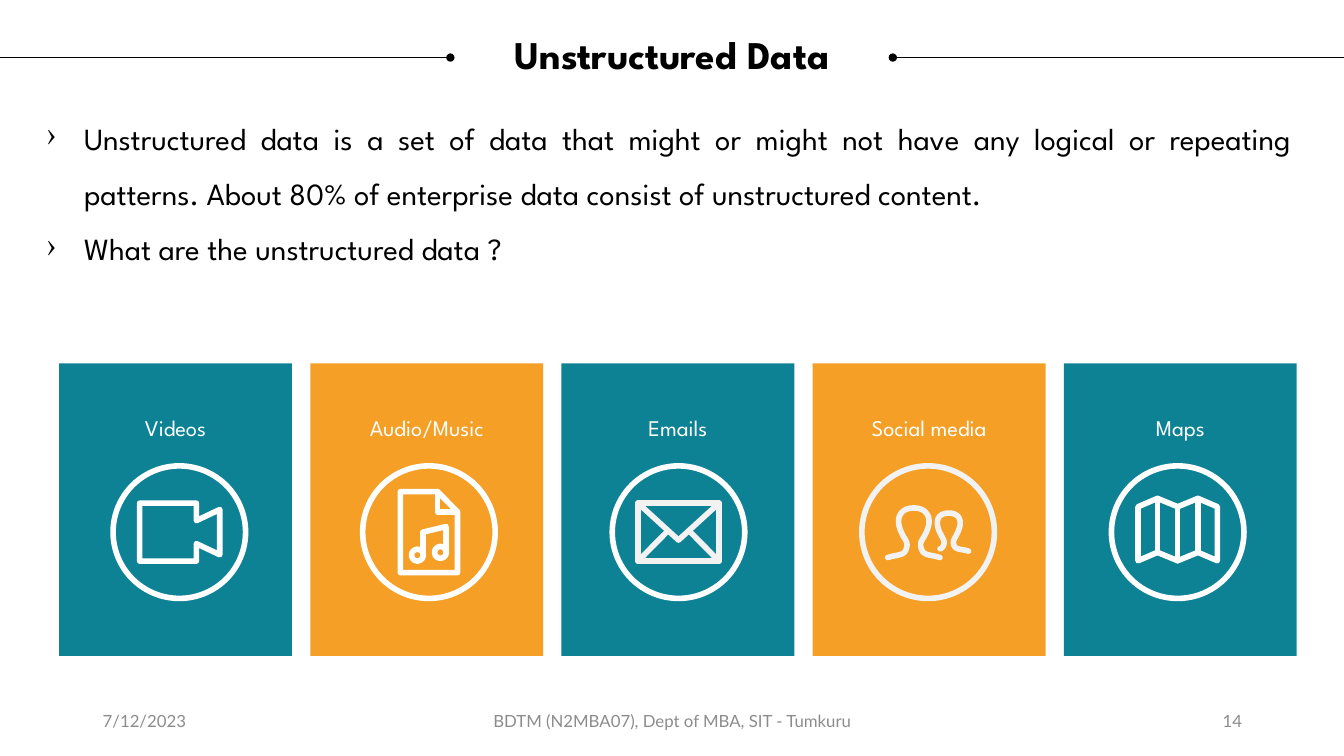
from dataclasses import dataclass

from lxml import etree
from pptx import Presentation
from pptx.dml.color import RGBColor
from pptx.enum.shapes import MSO_CONNECTOR, MSO_SHAPE
from pptx.enum.text import MSO_ANCHOR, MSO_AUTO_SIZE, PP_ALIGN
from pptx.oxml.ns import qn
from pptx.util import Cm, Pt

LEFT, CENTER, RIGHT, JUSTIFY = PP_ALIGN.LEFT, PP_ALIGN.CENTER, PP_ALIGN.RIGHT, PP_ALIGN.JUSTIFY
TOP, MIDDLE = MSO_ANCHOR.TOP, MSO_ANCHOR.MIDDLE
GROW = MSO_AUTO_SIZE.SHAPE_TO_FIT_TEXT
RECTANGLE, OVAL, STRAIGHT = MSO_SHAPE.RECTANGLE, MSO_SHAPE.OVAL, MSO_CONNECTOR.STRAIGHT

COLORS = {
    "black": "000000",
    "white": "FFFFFF",
    "pale": "F2F2F2",
    "teal": "0D8295",
    "orange": "F59F26",
    "grey": "8C8C8C",
}
HEADING_FONT, FOOTER_FONT = "League Spartan", "Lato"
SLIDE_WIDTH, SLIDE_HEIGHT = 33.87, 19.05
CARD_LEFT, CARD_TOP, CARD_WIDTH, CARD_HEIGHT, CARD_PITCH = 1.49, 9.16, 5.87, 7.37, 6.33
LABEL_TOP, LABEL_WIDTH, LABEL_HEIGHT = 10.44, 3.94, 0.69
ICON_X, ICON_Y, ICON_PITCH, ICON_RADIUS = 4.52, 13.41, 6.29, 1.67
ICON_LINE = 4
RULE_Y = 1.45

Point = tuple[float, float]


@dataclass
class Stroke:
    points: list[Point]
    closed: bool = False


@dataclass
class Ring:
    x: float
    y: float
    radius: float


@dataclass
class Card:
    label: str
    fill: str
    ring_color: str
    icon_color: str
    strokes: list[Stroke]
    rings: list[Ring]


@dataclass
class Footer:
    text: str
    left: float
    width: float
    alignment: PP_ALIGN


def sample_curves(points: list[Point], steps: int = 10) -> list[Point]:
    sampled = [points[0]]
    for first in range(0, len(points) - 1, 3):
        a, b, c, d = points[first:first + 4]
        for step in range(1, steps + 1):
            t = step / steps
            u = 1 - t
            weights = (u ** 3, 3 * u * u * t, 3 * u * t * t, t ** 3)
            sampled.append(tuple(
                sum(w * p[axis] for w, p in zip(weights, (a, b, c, d))) for axis in (0, 1)
            ))
    return sampled


def person(axis: float, right: list[Point], left: list[Point]) -> Stroke:
    left_side = [(axis - x, y) for x, y in sample_curves(left)]
    right_side = [(axis + x, y) for x, y in sample_curves(right)]
    return Stroke(left_side[::-1] + right_side[1:])


FRONT_HALF = [(0, -0.61), (0.34, -0.61), (0.46, -0.35), (0.34, -0.06), (0.26, 0.18),
              (0.12, 0.22), (0.19, 0.42), (0.24, 0.6), (0.41, 0.56), (0.66, 0.64)]
BACK_HALF = [(0, -0.48), (0.28, -0.48), (0.34, -0.28), (0.25, -0.05), (0.18, 0.14),
             (0.08, 0.2), (0.13, 0.33), (0.18, 0.46), (0.33, 0.42), (0.5, 0.48)]
BACK_LEFT = BACK_HALF[:7] + [(0.15, 0.38), (0.18, 0.41), (0.22, 0.42)]

VIDEO = [Stroke([(-1, -0.73), (0.43, -0.73), (0.43, -0.29), (1.02, -0.57),
                 (1.02, 0.57), (0.43, 0.29), (0.43, 0.73), (-1, 0.73)], True)]
MUSIC = [
    Stroke([(-0.72, -1.02), (0.22, -1.02), (0.72, -0.51), (0.72, 1.02), (-0.72, 1.02)], True),
    Stroke([(0.22, -1.02), (0.22, -0.51), (0.72, -0.51)]),
    Stroke([(-0.15, 0.58), (-0.15, 0), (0.43, -0.14), (0.43, 0.51)]),
]
NOTE_HEADS = [Ring(-0.29, 0.58, 0.15), Ring(0.29, 0.51, 0.15)]
ENVELOPE = [
    Stroke([(-1.02, -0.73), (1.02, -0.73), (1.02, 0.73), (-1.02, 0.73)], True),
    Stroke([(-1.02, -0.73), (0, 0.2), (1.02, -0.73)]),
    Stroke([(-1.02, 0.73), (-0.3, 0)]),
    Stroke([(1.02, 0.73), (0.3, 0)]),
]
PEOPLE = [person(-0.36, FRONT_HALF, FRONT_HALF), person(0.52, BACK_HALF, BACK_LEFT)]
MAP_TOP = [(-1, -0.64), (-0.51, -0.85), (0, -0.64), (0.51, -0.85), (1, -0.64)]
MAP_BOTTOM = [(x, y + 1.36) for x, y in MAP_TOP]
MAP = [Stroke(MAP_TOP + MAP_BOTTOM[::-1], True)]
MAP += [Stroke([MAP_TOP[fold], MAP_BOTTOM[fold]]) for fold in (1, 2, 3)]

CARDS = [
    Card("Videos", "teal", "white", "white", VIDEO, []),
    Card("Audio/Music", "orange", "white", "white", MUSIC, NOTE_HEADS),
    Card("Emails", "teal", "white", "pale", ENVELOPE, []),
    Card("Social media", "orange", "pale", "pale", PEOPLE, []),
    Card("Maps", "teal", "white", "white", MAP, []),
]
BULLETS = [
    "Unstructured data is a set of data that might or might not have any logical or repeating "
    "patterns. About 80% of enterprise data consist of unstructured content.",
    "What are the unstructured data ?",
]
FOOTERS = [
    Footer("7/12/2023", 2.34, 7.62, LEFT),
    Footer("BDTM (N2MBA07), Dept of MBA, SIT - Tumkuru", 11.23, 11.43, CENTER),
    Footer("14", 23.93, 7.62, RIGHT),
]


def color(name: str) -> RGBColor:
    return RGBColor.from_string(COLORS[name])


def place(shape, left: float, top: float, width: float, height: float) -> None:
    shape.left, shape.top, shape.width, shape.height = Cm(left), Cm(top), Cm(width), Cm(height)


def format_text(shape, font_name: str, size: float, color_name: str, alignment: PP_ALIGN,
                spacing: float = 1.0, bold: bool = False) -> None:
    for paragraph in shape.text_frame.paragraphs:
        paragraph.alignment = alignment
        paragraph.line_spacing = spacing
        for run in paragraph.runs:
            run.font.name, run.font.size, run.font.bold = font_name, Pt(size), bold
            run.font.color.rgb = color(color_name)


def clear_insets(text_frame) -> None:
    text_frame.margin_left = text_frame.margin_right = 0
    text_frame.margin_top = text_frame.margin_bottom = 0
    text_frame.vertical_anchor = TOP
    text_frame.word_wrap = True
    text_frame.auto_size = GROW


def add_text(slide, text: str, left: float, top: float, width: float, height: float):
    shape = slide.shapes.add_textbox(Cm(left), Cm(top), Cm(width), Cm(height))
    shape.text_frame.text = text
    shape.text_frame.word_wrap = True
    return shape


def outline(shape, color_name: str) -> None:
    shape.shadow.inherit = False
    shape.fill.background()
    shape.line.color.rgb = color(color_name)
    shape.line.width = Pt(ICON_LINE)


def add_ring(slide, x: float, y: float, radius: float, color_name: str) -> None:
    shape = slide.shapes.add_shape(OVAL, Cm(x - radius), Cm(y - radius), Cm(2 * radius), Cm(2 * radius))
    outline(shape, color_name)


def add_stroke(slide, stroke: Stroke, x: float, y: float, color_name: str) -> None:
    points = [(Cm(x + dx), Cm(y + dy)) for dx, dy in stroke.points]
    builder = slide.shapes.build_freeform(*points[0])
    builder.add_line_segments(points[1:], close=stroke.closed)
    shape = builder.convert_to_shape()
    outline(shape, color_name)
    line = shape.line._get_or_add_ln()
    line.set("cap", "rnd")
    etree.SubElement(line, qn("a:round"))


def add_card(slide, card: Card, index: int) -> None:
    left = CARD_LEFT + index * CARD_PITCH
    panel = slide.shapes.add_shape(RECTANGLE, Cm(left), Cm(CARD_TOP), Cm(CARD_WIDTH), Cm(CARD_HEIGHT))
    panel.shadow.inherit = False
    panel.fill.solid()
    panel.fill.fore_color.rgb = color(card.fill)
    panel.line.fill.background()
    label_left = left + (CARD_WIDTH - LABEL_WIDTH) / 2
    label = add_text(slide, card.label, label_left, LABEL_TOP, LABEL_WIDTH, LABEL_HEIGHT)
    clear_insets(label.text_frame)
    format_text(label, HEADING_FONT, 16, "white", CENTER)
    x = ICON_X + index * ICON_PITCH
    add_ring(slide, x, ICON_Y, ICON_RADIUS, card.ring_color)
    for stroke in card.strokes:
        add_stroke(slide, stroke, x, ICON_Y, card.icon_color)
    for ring in card.rings:
        add_ring(slide, x + ring.x, ICON_Y + ring.y, ring.radius, card.icon_color)


def add_title_rule(slide, inner: float, edge: float) -> None:
    rule = slide.shapes.add_connector(STRAIGHT, Cm(inner), Cm(RULE_Y), Cm(edge), Cm(RULE_Y))
    rule.line.color.rgb = color("black")
    rule.line.width = Pt(0.5)
    etree.SubElement(rule.line._get_or_add_ln(), qn("a:headEnd"), type="oval")
    etree.SubElement(rule._element.spPr, qn("a:effectLst"))


def add_bullets(slide) -> None:
    body = add_text(slide, "\n".join(BULLETS), 1.17, 2.54, 31.37, 6.88)
    clear_insets(body.text_frame)
    for paragraph in body.text_frame.paragraphs:
        properties = paragraph._p.get_or_add_pPr()
        properties.set("marL", str(Cm(0.95)))
        properties.set("indent", str(Cm(-0.95)))
        etree.SubElement(properties, qn("a:buChar"), char="›")
    format_text(body, HEADING_FONT, 22, "black", JUSTIFY, 1.5)


def main() -> None:
    presentation = Presentation()
    presentation.slide_width, presentation.slide_height = Cm(SLIDE_WIDTH), Cm(SLIDE_HEIGHT)
    slide = presentation.slides.add_slide(presentation.slide_layouts[5])
    title = slide.shapes.title
    place(title, 0.64, 0.89, 32.59, 1.07)
    title.text_frame.text = "Unstructured Data"
    clear_insets(title.text_frame)
    format_text(title, HEADING_FONT, 28, "black", CENTER, 0.9, True)
    add_title_rule(slide, 11.35, 0)
    add_title_rule(slide, 22.5, SLIDE_WIDTH)
    add_bullets(slide)
    for index, card in enumerate(CARDS):
        add_card(slide, card, index)
    for footer in FOOTERS:
        shape = add_text(slide, footer.text, footer.left, 17.65, footer.width, 1.02)
        shape.text_frame.vertical_anchor = MIDDLE
        format_text(shape, FOOTER_FONT, 12, "grey", footer.alignment)
    presentation.save("out.pptx")


if __name__ == "__main__":
    main()
